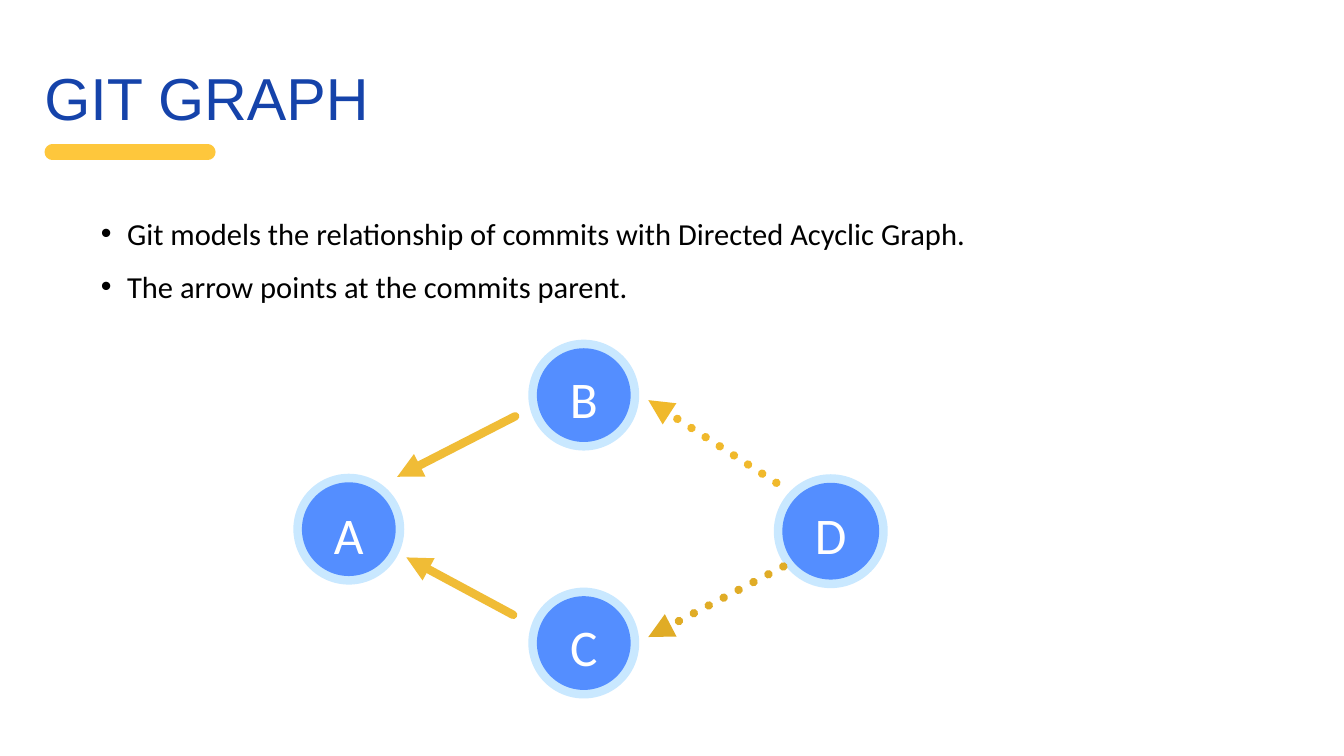
from lxml.etree import SubElement
from pptx import Presentation
from pptx.dml.color import RGBColor
from pptx.enum.dml import MSO_LINE
from pptx.enum.shapes import MSO_CONNECTOR, MSO_SHAPE
from pptx.enum.text import MSO_AUTO_SIZE, PP_ALIGN
from pptx.oxml.ns import qn
from pptx.util import Inches, Pt

COLORS = {
    "title": "1543AA",
    "underline": "FEC73C",
    "body": "000000",
    "ring": "C9E8FF",
    "core": "548EFF",
    "letter": "FFFFFF",
    "solid": "F0BC36",
    "dotted_up": "F0B92C",
    "dotted_down": "E0AC26",
}

BULLETS = [
    "Git models the relationship of commits with Directed Acyclic Graph.",
    "The arrow points at the commits parent.",
]

# letter, centre x, centre y, ring diameter, core diameter, letter top
COMMITS = [
    ("A", 3.46, 5.25, 1.1, 0.93, 4.89),
    ("B", 5.79, 3.92, 1.1, 0.93, 3.54),
    ("C", 5.79, 6.38, 1.1, 0.93, 6.0),
    ("D", 8.24, 5.27, 1.13, 0.96, 4.89),
]

# start, end, colour, dotted
PARENT_ARROWS = [
    ((7.7, 4.79), (6.43, 3.97), "dotted_up", True),
    ((7.77, 5.62), (6.43, 6.32), "dotted_down", True),
    ((5.09, 6.1), (4.03, 5.53), "solid", False),
    ((5.11, 4.13), (3.94, 4.73), "solid", False),
]


def color(name):
    """Return the named colour."""
    return RGBColor.from_string(COLORS[name])


def add_text(slide, box, lines, font_name, size, color_name, spacing,
             alignment=PP_ALIGN.LEFT, bulleted=False):
    """Add a text box without margins, one paragraph for each line."""
    frame = slide.shapes.add_textbox(*map(Inches, box)).text_frame
    frame.margin_left = frame.margin_right = 0
    frame.margin_top = frame.margin_bottom = 0
    frame.word_wrap = True
    frame.auto_size = MSO_AUTO_SIZE.SHAPE_TO_FIT_TEXT
    for index, line in enumerate(lines):
        paragraph = frame.add_paragraph() if index else frame.paragraphs[0]
        paragraph.alignment = alignment
        paragraph.line_spacing = Pt(spacing)
        if bulleted:
            add_bullet(paragraph)
        run = paragraph.add_run()
        run.text = line
        run.font.name = font_name
        run.font.size = Pt(size)
        run.font.color.rgb = color(color_name)


def add_bullet(paragraph):
    """Give a paragraph a hanging round bullet."""
    paragraph.level = 1
    properties = paragraph._p.get_or_add_pPr()
    properties.set("marL", str(Inches(0.51)))
    properties.set("indent", str(Inches(-0.26)))
    SubElement(properties, qn("a:buFont"), typeface="Arial")
    SubElement(properties, qn("a:buChar"), char="•")


def add_line(slide, start, end, color_name, width, dotted=False, arrow=False):
    """Add a line with round ends, dotted or with an arrowhead if asked."""
    connector = slide.shapes.add_connector(
        MSO_CONNECTOR.STRAIGHT, *map(Inches, start + end))
    connector.line.color.rgb = color(color_name)
    connector.line.width = Pt(width)
    if dotted:
        connector.line.dash_style = MSO_LINE.ROUND_DOT
    outline = connector.line._get_or_add_ln()
    outline.set("cap", "rnd")
    if arrow:
        SubElement(outline, qn("a:tailEnd"), type="triangle")
    SubElement(connector._element.spPr, qn("a:effectLst"))


def add_disc(slide, center_x, center_y, diameter, color_name):
    """Add a filled circle around a centre."""
    disc = slide.shapes.add_shape(
        MSO_SHAPE.OVAL, Inches(center_x - diameter / 2),
        Inches(center_y - diameter / 2), Inches(diameter), Inches(diameter))
    disc.shadow.inherit = False
    disc.fill.solid()
    disc.fill.fore_color.rgb = color(color_name)
    disc.line.fill.background()


def add_commit(slide, letter, center_x, center_y, ring, core, letter_top):
    """Add a ringed commit node with its letter."""
    add_disc(slide, center_x, center_y, ring, "ring")
    add_disc(slide, center_x, center_y, core, "core")
    add_text(slide, (center_x - 0.2, letter_top, 0.4, 0.65), [letter],
             "Calibri", 36.7, "letter", 51.3, PP_ALIGN.CENTER)


def main():
    """Build the slide and save it."""
    presentation = Presentation()
    presentation.slide_width = Inches(13.33)
    presentation.slide_height = Inches(7.5)
    slide = presentation.slides.add_slide(presentation.slide_layouts[6])
    add_line(slide, (0.52, 1.51), (2.06, 1.51), "underline", 11.25)
    add_text(slide, (0.44, 0.49, 5.56, 0.76), ["GIT GRAPH"],
             "Arial", 42.3, "title", 59.2)
    add_text(slide, (0.75, 1.97, 9.88, 1), BULLETS,
             "Calibri", 21.8, "body", 37.9, bulleted=True)
    for commit in COMMITS:
        add_commit(slide, *commit)
    for start, end, color_name, dotted in PARENT_ARROWS:
        add_line(slide, start, end, color_name, 6, dotted, arrow=True)
    presentation.save("out.pptx")


if __name__ == "__main__":
    main()
